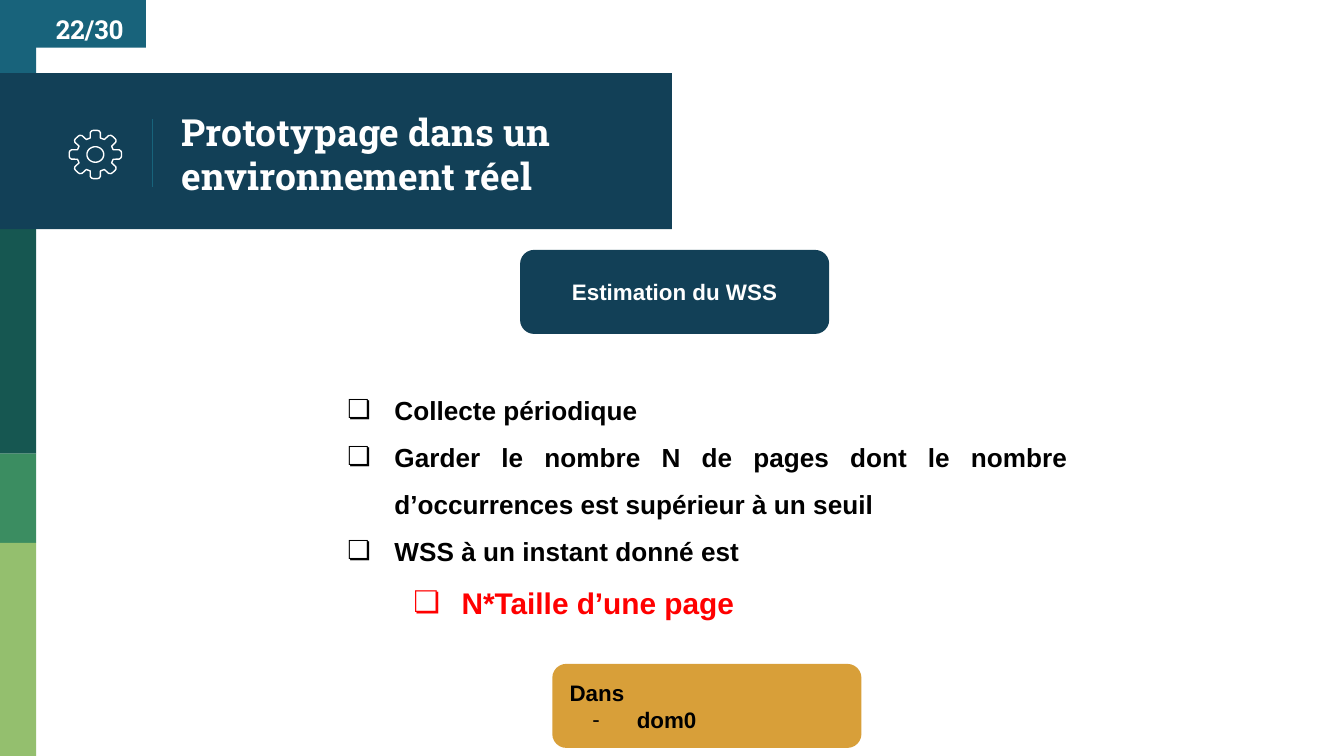
from dataclasses import dataclass
from math import cos, radians, sin

from lxml.etree import SubElement
from pptx import Presentation
from pptx.dml.color import RGBColor
from pptx.enum.shapes import MSO_CONNECTOR as Connector, MSO_SHAPE as Preset
from pptx.enum.text import MSO_ANCHOR as Anchor, MSO_AUTO_SIZE as AutoSize, PP_ALIGN as Align
from pptx.oxml.ns import qn
from pptx.util import Pt

PX = 4572  # EMU in one px, 200 px to the inch


@dataclass(frozen=True)
class Theme:
    white: str = "FFFFFF"
    black: str = "000000"
    red: str = "FF0000"
    navy: str = "124057"
    blue: str = "18637B"
    teal: str = "165751"
    green: str = "3B8D61"
    lime: str = "94BF6E"
    amber: str = "D89F39"
    heading_font: str = "Roboto Slab"
    body_font: str = "Arial"
    title_size: int = 20
    key_size: int = 16
    list_size: int = 14
    label_size: int = 12
    line_width: float = 0.75


THEME = Theme()


def rgb(color):
    return RGBColor.from_string(color)


def place(shape, box):
    shape.left, shape.top, shape.width, shape.height = (n * PX for n in box)


def add_block(slide, box, color, preset=Preset.RECTANGLE):
    block = slide.shapes.add_shape(preset, *(n * PX for n in box))
    block.shadow.inherit = False
    block.fill.solid()
    block.fill.fore_color.rgb = rgb(color)
    block.line.fill.background()
    return block


def set_frame(shape, anchor=Anchor.MIDDLE, side=20):
    frame = shape.text_frame
    frame.word_wrap = True
    frame.auto_size = AutoSize.NONE
    frame.vertical_anchor = anchor
    frame.margin_left = frame.margin_right = side * PX
    frame.margin_top = frame.margin_bottom = 20 * PX
    return frame


def add_text(frame, text, *, size, color, font=THEME.body_font, align=Align.LEFT,
             spacing=1.0, level=0, bullet=None, margin=0, hanging=0):
    """Write one bold paragraph, filling the frame's empty first one if there is one."""
    first = frame.paragraphs[0]
    paragraph = frame.add_paragraph() if first.runs else first
    paragraph.alignment = align
    paragraph.level = level
    paragraph.line_spacing = spacing
    paragraph.space_before = paragraph.space_after = Pt(0)
    run = paragraph.add_run()
    run.text = text
    run.font.size = Pt(size)
    run.font.name = font
    run.font.bold = True
    run.font.color.rgb = rgb(color)
    if bullet:
        props = paragraph._p.get_or_add_pPr()
        props.set("marL", str(margin * PX))
        props.set("indent", str(-hanging * PX))
        bullet_color = SubElement(props, qn("a:buClr"))
        SubElement(bullet_color, qn("a:srgbClr"), val=color)
        SubElement(props, qn("a:buFont"), typeface=font)
        SubElement(props, qn("a:buChar"), char=bullet)


def add_sidebar(slide, box):
    left, top, width, height = box
    bands = [(0, THEME.blue), (340, THEME.teal), (675, THEME.green), (808, THEME.lime)]
    ends = [116] + [start for start, _ in bands[2:]] + [height]
    for (start, color), end in zip(bands, ends):
        add_block(slide, (left, top + start, width, end - start), color)


def add_gear(slide, box):
    """Outline a gear with eight rounded teeth and a round hub."""
    left, top, width, height = box

    def point(angle, reach):
        x = left + width / 2 * (1 + reach * cos(radians(angle)))
        y = top + height / 2 * (1 + reach * sin(radians(angle)))
        return round(x * PX), round(y * PX)

    half_tooth = [(-16, 0.71), (-12, 0.93), (-8, 0.99), (-4, 1)]
    tooth = half_tooth + [(-angle, reach) for angle, reach in reversed(half_tooth)]
    rim = [point(turn + angle, reach) for turn in range(0, 360, 45) for angle, reach in tooth]
    hub = [point(angle, 0.32) for angle in range(0, 360, 10)]

    builder = slide.shapes.build_freeform(*rim[0], scale=1.0)
    builder.add_line_segments(rim[1:], close=True)
    builder.move_to(*hub[0])
    builder.add_line_segments(hub[1:], close=True)
    gear = builder.convert_to_shape()
    gear.shadow.inherit = False
    gear.fill.background()
    gear.line.color.rgb = rgb(THEME.white)
    gear.line.width = Pt(THEME.line_width)


def add_divider(slide, x, top, bottom):
    divider = slide.shapes.add_connector(
        Connector.STRAIGHT, x * PX, top * PX, x * PX, bottom * PX)
    divider.line.color.rgb = rgb(THEME.blue)
    divider.line.width = Pt(THEME.line_width)
    SubElement(divider._element.spPr, qn("a:effectLst"))


def add_banner(slide, box, title):
    left, top, width, height = box
    add_block(slide, box, THEME.navy)
    add_divider(slide, left + 227, top + 68, top + 170)
    add_gear(slide, (left + 103, top + 85, 78, 72))
    heading = slide.shapes.title
    slide.shapes._spTree.append(heading._element)  # above the banner
    place(heading, (left + 250, top + 7, 702, height - 7))
    add_text(set_frame(heading), title, size=THEME.title_size, color=THEME.white,
             font=THEME.heading_font)


def add_page_number(slide, box, number):
    tab = add_block(slide, box, THEME.blue)
    add_text(set_frame(tab, Anchor.TOP), number, size=THEME.list_size, color=THEME.white,
             font=THEME.heading_font, align=Align.CENTER)


def add_topic(slide, box, topic):
    card = add_block(slide, box, THEME.navy, Preset.ROUNDED_RECTANGLE)
    add_text(set_frame(card), topic, size=THEME.label_size, color=THEME.white,
             align=Align.CENTER)


def add_steps(slide, box, steps, result):
    body = slide.placeholders[1]
    place(body, box)
    frame = set_frame(body, side=43)
    common = dict(align=Align.JUSTIFY, spacing=1.5, bullet="❏")
    for step in steps:
        add_text(frame, step, size=THEME.list_size, color=THEME.black,
                 margin=100, hanging=70, **common)
    add_text(frame, result, size=THEME.key_size, color=THEME.red,
             level=1, margin=200, hanging=72, **common)


def add_location(slide, box, lead, place_name):
    card = add_block(slide, box, THEME.amber, Preset.ROUNDED_RECTANGLE)
    frame = set_frame(card)
    label = dict(size=THEME.label_size, color=THEME.black)
    add_text(frame, lead, **label)
    add_text(frame, place_name, bullet="-", margin=100, hanging=66, **label)


def main():
    deck = Presentation()
    deck.slide_width, deck.slide_height = 2000 * PX, 1125 * PX
    slide = deck.slides.add_slide(deck.slide_layouts[1])
    add_sidebar(slide, (0, 0, 54, 1125))
    add_banner(slide, (0, 109, 1000, 232), "Prototypage dans un environnement réel")
    add_topic(slide, (774, 372, 460, 125), "Estimation du WSS")
    add_steps(
        slide, (444, 512, 1188, 462),
        ["Collecte périodique",
         "Garder le nombre N de pages dont le nombre d’occurrences est supérieur à un seuil",
         "WSS à un instant donné est"],
        "N*Taille d’une page")
    add_location(slide, (822, 988, 460, 125), "Dans", "dom0")
    add_page_number(slide, (50, 0, 167, 71), "22/30")
    deck.save("out.pptx")


if __name__ == "__main__":
    main()
